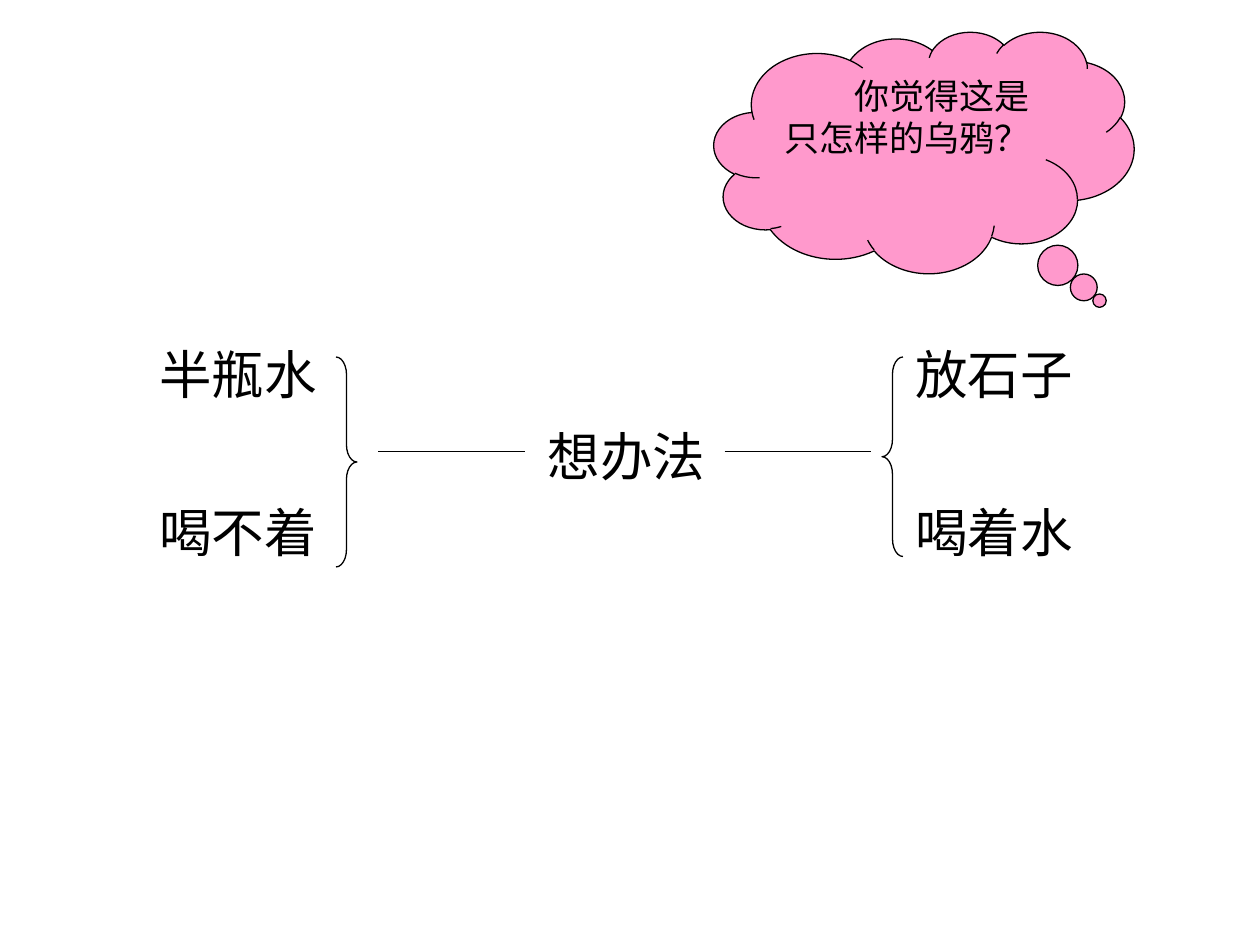
"""Build the lesson slide about the crow that finds a way to drink."""
import pptx
import pptx.dml.color
import pptx.enum.shapes
import pptx.enum.text
import pptx.oxml.ns
import pptx.util
from lxml import etree

Pt = pptx.util.Pt
Shape = pptx.enum.shapes.MSO_SHAPE
BLACK = pptx.dml.color.RGBColor(0x00, 0x00, 0x00)
PINK = pptx.dml.color.RGBColor(0xFF, 0x99, 0xCC)

LABELS = [
    ("半瓶水", 84, 192),
    ("喝不着", 84, 282),
    ("想办法", 306, 239),
    ("放石子", 516, 192),
    ("喝着水", 516, 282),
]
BRACES = [(Shape.RIGHT_BRACE, 192, 120), (Shape.LEFT_BRACE, 504, 114)]
BRACE_TOP, BRACE_WIDTH = 204, 12
LINE_STARTS = [216, 414]
LINE_LENGTH, LINE_Y = 84, 258
QUESTION = "你觉得这是只怎样的乌鸦？"
CLOUD_PLACE = (408, 18, 240, 138)


def write(box, text, size):
    paragraph = box.text_frame.paragraphs[0]
    paragraph.text = text
    paragraph.alignment = pptx.enum.text.PP_ALIGN.LEFT
    paragraph.font.size = Pt(size)
    paragraph.font.name = "Arial"
    paragraph.font.color.rgb = BLACK
    return paragraph


def outline(item):
    item.line.color.rgb = BLACK
    item.line.width = Pt(0.75)


def add_outlined_shape(page, kind, place, adjustments):
    shape = page.shapes.add_shape(kind, *map(Pt, place))
    for index, value in enumerate(adjustments):
        shape.adjustments[index] = value
    shape.shadow.inherit = False
    outline(shape)
    return shape


def add_label(page, text, left, top):
    box = page.shapes.add_textbox(Pt(left), Pt(top), Pt(104.4), Pt(43.2))
    box.text_frame.word_wrap = False
    box.text_frame.auto_size = pptx.enum.text.MSO_AUTO_SIZE.SHAPE_TO_FIT_TEXT
    write(box, text, 30)


def add_line(page, left):
    line = page.shapes.add_connector(
        pptx.enum.shapes.MSO_CONNECTOR.STRAIGHT,
        Pt(left), Pt(LINE_Y), Pt(left + LINE_LENGTH), Pt(LINE_Y))
    outline(line)
    etree.SubElement(line._element.spPr, pptx.oxml.ns.qn("a:effectLst"))


def add_cloud(page):
    cloud = add_outlined_shape(page, Shape.CLOUD_CALLOUT, CLOUD_PLACE, (0.418, 0.615))
    cloud.fill.solid()
    cloud.fill.fore_color.rgb = PINK
    cloud.text_frame.word_wrap = True
    cloud.text_frame.vertical_anchor = pptx.enum.text.MSO_ANCHOR.TOP
    paragraph = write(cloud, QUESTION, 20)
    paragraph._p.get_or_add_pPr().set("indent", str(Pt(40)))


def main():
    deck = pptx.Presentation()
    deck.slide_width, deck.slide_height = Pt(720), Pt(540)
    page = deck.slides.add_slide(deck.slide_layouts[6])
    for label in LABELS:
        add_label(page, *label)
    for kind, left, height in BRACES:
        place = (left, BRACE_TOP, BRACE_WIDTH, height)
        add_outlined_shape(page, kind, place, (0.83, 0.5)).fill.background()
    for left in LINE_STARTS:
        add_line(page, left)
    add_cloud(page)
    deck.save("out.pptx")


if __name__ == "__main__":
    main()
